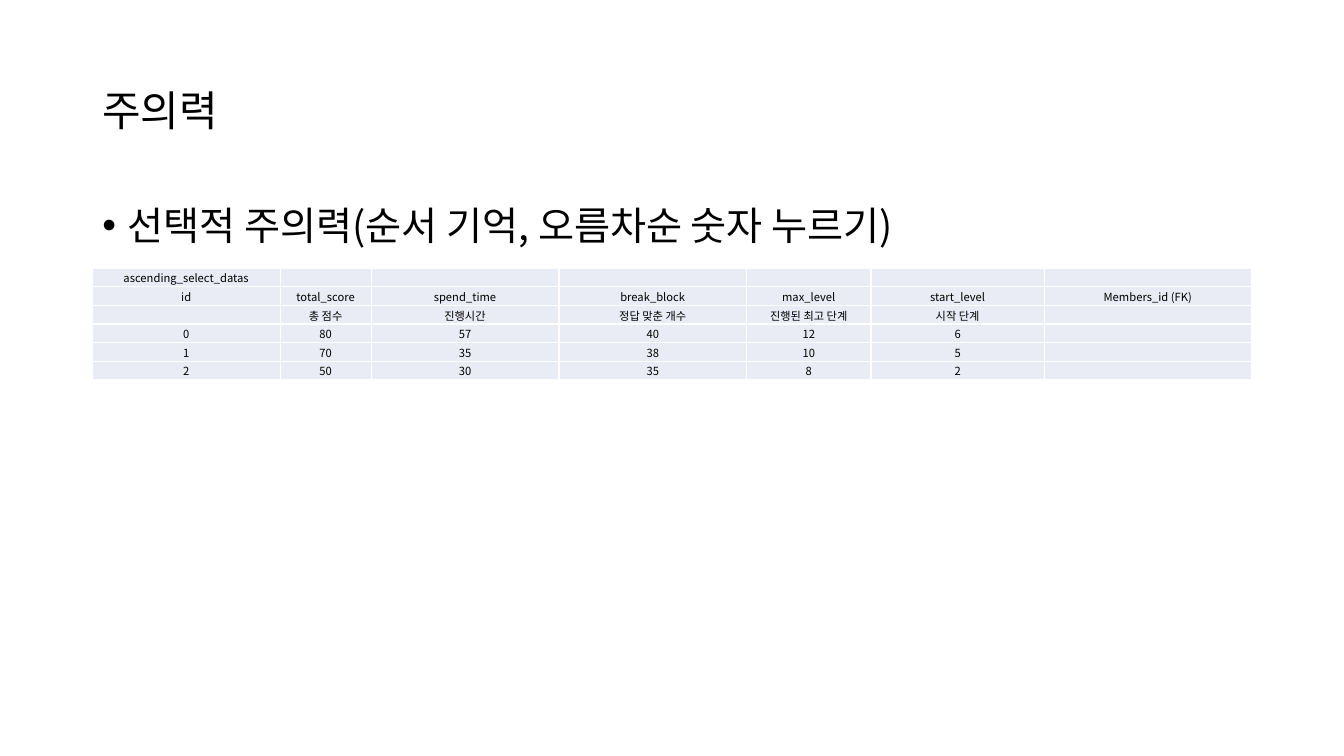
from dataclasses import dataclass

from lxml.etree import SubElement
from pptx import Presentation
from pptx.dml.color import RGBColor
from pptx.enum.text import MSO_ANCHOR, PP_ALIGN
from pptx.oxml.ns import qn
from pptx.util import Inches, Pt

SLIDE_WIDTH = Inches(13.333)
SLIDE_HEIGHT = Inches(7.5)
GRID_COLUMNS = 160
GRID_ROWS = 90


@dataclass(frozen=True)
class Theme:
    font: str = "Noto Sans CJK KR"
    ink: str = "000000"
    cell_fill: str = "E9EBF5"
    border: str = "FFFFFF"
    border_width: float = 1
    title_size: float = 30
    body_size: float = 28
    cell_size: float = 8


@dataclass(frozen=True)
class TextBlock:
    text: str
    top: float
    height: float
    size: float
    anchor: MSO_ANCHOR
    bullet: str = ""


THEME = Theme()
CONTENT_LEFT = 11
CONTENT_WIDTH = 138
TABLE_TOP = 31.92
TABLE_ROW_HEIGHT = 2.22
TABLE_COLUMNS = (22.35, 10.85, 22.35, 22.35, 14.8, 20.65, 24.65)
TEXT_BLOCKS = (
    TextBlock("주의력", 4.8, 17.4, THEME.title_size, MSO_ANCHOR.MIDDLE),
    TextBlock("선택적 주의력(순서 기억, 오름차순 숫자 누르기)", 24, 57.1,
              THEME.body_size, MSO_ANCHOR.TOP, "•"),
)
TABLE_ROWS = (
    ("ascending_select_datas", "", "", "", "", "", ""),
    ("id", "total_score", "spend_time", "break_block", "max_level",
     "start_level", "Members_id (FK)"),
    ("", "총 점수", "진행시간", "정답 맞춘 개수", "진행된 최고 단계", "시작 단계", ""),
    ("0", "80", "57", "40", "12", "6", ""),
    ("1", "70", "35", "38", "10", "5", ""),
    ("2", "50", "30", "35", "8", "2", ""),
)


def across(columns: float) -> int:
    return round(SLIDE_WIDTH * columns / GRID_COLUMNS)


def down(rows: float) -> int:
    return round(SLIDE_HEIGHT * rows / GRID_ROWS)


def format_paragraph(paragraph, size: float) -> None:
    paragraph.font.size = Pt(size)
    for run in paragraph.runs:
        run.font.size = Pt(size)
        run.font.name = THEME.font
        run.font.color.rgb = RGBColor.from_string(THEME.ink)
        east_asian = SubElement(run.font._element, qn("a:ea"))
        east_asian.set("typeface", THEME.font)


def add_bullet(paragraph, character: str) -> None:
    properties = paragraph._p.get_or_add_pPr()
    properties.set("marL", str(Inches(0.25)))
    properties.set("indent", str(-Inches(0.25)))
    bullet_font = SubElement(properties, qn("a:buFont"))
    bullet_font.set("typeface", "Arial")
    SubElement(properties, qn("a:buChar")).set("char", character)


def add_text_block(slide, block: TextBlock) -> None:
    shape = slide.shapes.add_textbox(
        across(CONTENT_LEFT), down(block.top), across(CONTENT_WIDTH), down(block.height))
    text_frame = shape.text_frame
    text_frame.word_wrap = True
    text_frame.vertical_anchor = block.anchor
    text_frame.text = block.text
    paragraph = text_frame.paragraphs[0]
    paragraph.line_spacing = 0.9
    if block.bullet:
        paragraph.space_before = Pt(10)
        add_bullet(paragraph, block.bullet)
    format_paragraph(paragraph, block.size)


def add_borders(cell) -> None:
    properties = cell._tc.get_or_add_tcPr()
    for position, side in enumerate(("a:lnL", "a:lnR", "a:lnT", "a:lnB")):
        line = SubElement(properties, qn(side))
        line.set("w", str(Pt(THEME.border_width)))
        fill = SubElement(line, qn("a:solidFill"))
        SubElement(fill, qn("a:srgbClr")).set("val", THEME.border)
        properties.insert(position, line)


def format_cell(cell, text: str) -> None:
    cell.margin_left = cell.margin_right = cell.margin_top = Inches(0.01)
    cell.margin_bottom = 0
    cell.vertical_anchor = MSO_ANCHOR.MIDDLE
    cell.fill.solid()
    cell.fill.fore_color.rgb = RGBColor.from_string(THEME.cell_fill)
    add_borders(cell)
    cell.text_frame.text = text
    paragraph = cell.text_frame.paragraphs[0]
    paragraph.alignment = PP_ALIGN.CENTER
    format_paragraph(paragraph, THEME.cell_size)
    if not text:
        end_properties = SubElement(paragraph._p, qn("a:endParaRPr"))
        end_properties.set("sz", str(round(THEME.cell_size * 100)))


def add_score_table(slide) -> None:
    table = slide.shapes.add_table(
        len(TABLE_ROWS), len(TABLE_COLUMNS), across(CONTENT_LEFT), down(TABLE_TOP),
        across(CONTENT_WIDTH), down(TABLE_ROW_HEIGHT * len(TABLE_ROWS))).table
    table.first_row = False
    table.horz_banding = False
    for column, width in zip(table.columns, TABLE_COLUMNS):
        column.width = across(width)
    for row, texts in zip(table.rows, TABLE_ROWS):
        row.height = down(TABLE_ROW_HEIGHT)
        for cell, text in zip(row.cells, texts):
            format_cell(cell, text)


def main() -> None:
    presentation = Presentation()
    presentation.slide_width = SLIDE_WIDTH
    presentation.slide_height = SLIDE_HEIGHT
    slide = presentation.slides.add_slide(presentation.slide_layouts[6])
    for block in TEXT_BLOCKS:
        add_text_block(slide, block)
    add_score_table(slide)
    presentation.save("out.pptx")


if __name__ == "__main__":
    main()
